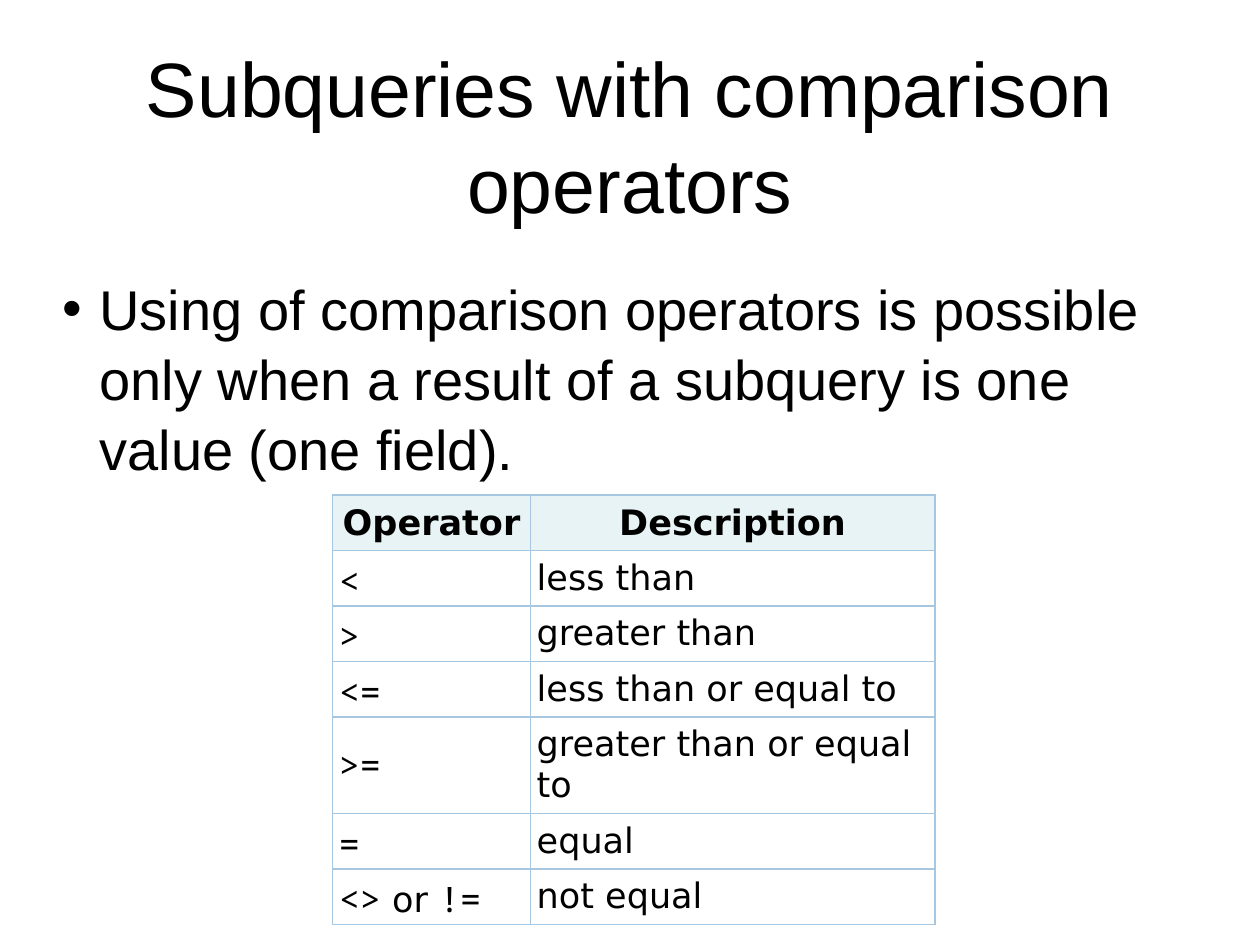
from lxml import etree
from pptx import Presentation
from pptx.dml.color import RGBColor
from pptx.enum.text import MSO_ANCHOR, PP_ALIGN
from pptx.oxml.ns import qn
from pptx.util import Inches, Pt

CENTER, LEFT = PP_ALIGN.CENTER, PP_ALIGN.LEFT
MIDDLE, TOP = MSO_ANCHOR.MIDDLE, MSO_ANCHOR.TOP
COLORS = {"text": "000000", "header": "E7F3F4", "cell": "FFFFFF", "border": "A7C6DF"}
SANS, MONO = "DejaVu Sans", "Noto Sans Mono"
MARGINS = ("margin_left", "margin_top", "margin_right", "margin_bottom")


def add_run(p, text, font, size, bold=False):
    """Add a formatted run to a paragraph."""
    r = p.add_run()
    r.text = text
    for name, value in {"name": font, "size": Pt(size), "bold": bold}.items():
        setattr(r.font, name, value)
    r.font.color.rgb = RGBColor.from_string(COLORS["text"])


def add_borders(cell):
    """Draw a thin line on all four sides of a cell."""
    tcPr = cell._tc.get_or_add_tcPr()
    for i, side in enumerate(("a:lnL", "a:lnR", "a:lnT", "a:lnB")):
        ln = etree.Element(qn(side), w=str(Pt(1)))
        fill = etree.SubElement(ln, qn("a:solidFill"))
        etree.SubElement(fill, qn("a:srgbClr"), val=COLORS["border"])
        tcPr.insert(i, ln)


prs = Presentation()
prs.slide_width, prs.slide_height = Inches(10), Inches(7.5)
s = prs.slides.add_slide(prs.slide_layouts[5])

# Title and body text
title = s.shapes.title
body = s.shapes.add_textbox(0, 0, 0, 0)
texts = [
    (title, 0.23, 1.65, 44, CENTER, MIDDLE, "Subqueries with comparison operators"),
    (body, 2.16, 1.7, 32, LEFT, TOP,
     "Using of сomparison operators is possible only when a result "
     "of a subquery is one value (one field)."),
]
for sp, top, height, size, align, anchor, text in texts:
    sp.left, sp.top, sp.width, sp.height = map(Inches, (0.5, top, 9, height))
    tf = sp.text_frame
    tf.word_wrap, tf.vertical_anchor = True, anchor
    for margin in MARGINS:
        setattr(tf, margin, 0)
    p = tf.paragraphs[0]
    p.alignment, p.line_spacing = align, 1.04
    add_run(p, text, "Arial", size)

pPr = body.text_frame.paragraphs[0]._p.get_or_add_pPr()
pPr.set("marL", str(Inches(0.29)))
pPr.set("indent", str(-Inches(0.29)))
etree.SubElement(pPr, qn("a:buFont"), typeface="Arial")
etree.SubElement(pPr, qn("a:buChar"), char="•")

# Operator table: each operator is a list of (text, font) runs
rows = [
    ([("Operator", SANS)], "Description"),
    ([("<", MONO)], "less than"),
    ([(">", MONO)], "greater than"),
    ([("<=", MONO)], "less than or equal to"),
    ([(">=", MONO)], "greater than or equal to"),
    ([("=", MONO)], "equal"),
    ([("<>", MONO), (" or ", SANS), ("!=", MONO)], "not equal"),
]
col_widths, row_height = (1.57, 3.21), 0.44
table = s.shapes.add_table(
    len(rows), len(col_widths), Inches(2.64), Inches(3.93),
    Inches(sum(col_widths)), Inches(row_height * len(rows))).table
for col, width in zip(table.columns, col_widths):
    col.width = Inches(width)

for i, (operator, description) in enumerate(rows):
    header = i == 0
    for j, runs in enumerate((operator, [(description, SANS)])):
        cell = table.cell(i, j)
        for margin in MARGINS:
            setattr(cell, margin, Inches(0.05))
        cell.vertical_anchor = MIDDLE
        cell.fill.solid()
        cell.fill.fore_color.rgb = RGBColor.from_string(COLORS["header" if header else "cell"])
        add_borders(cell)
        p = cell.text_frame.paragraphs[0]
        p.alignment = CENTER if header else LEFT
        for text, font in runs:
            add_run(p, text, font, 20, header)

prs.save("out.pptx")
